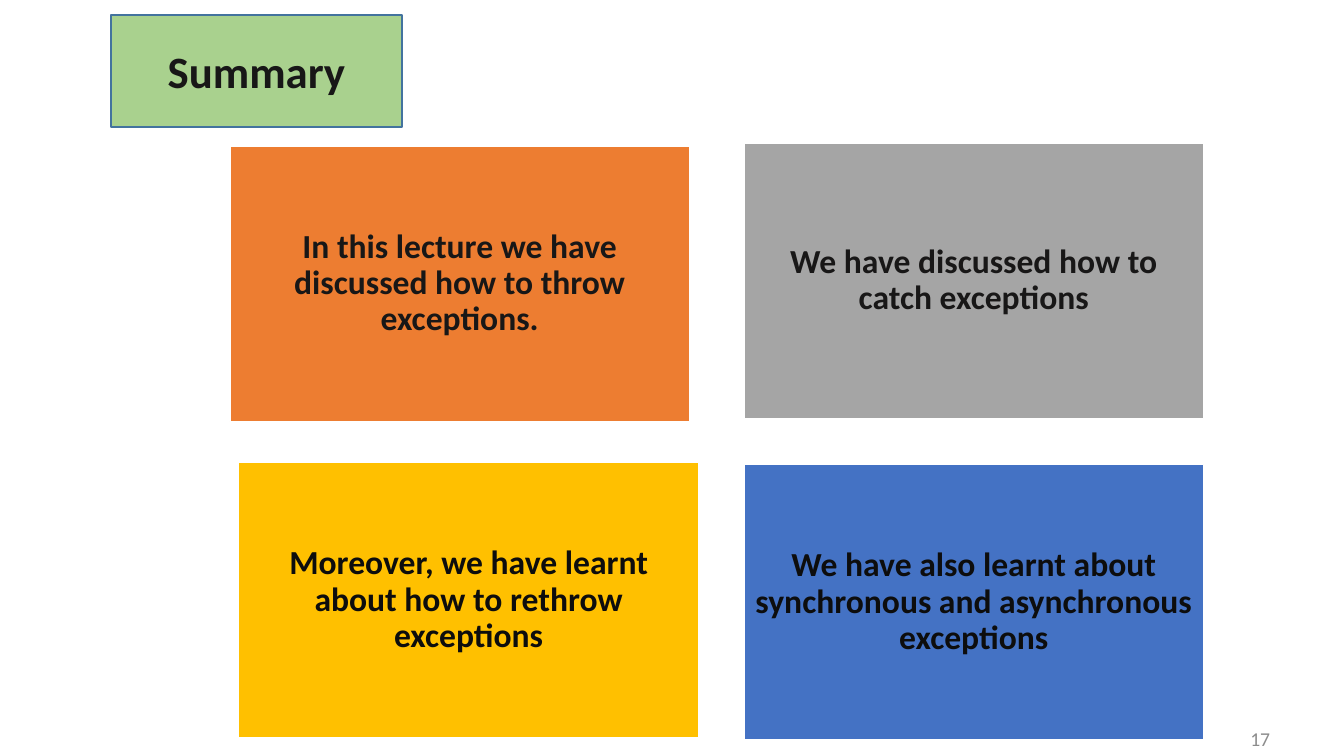
from lxml import etree
from pptx import Presentation
from pptx.dml.color import RGBColor
from pptx.enum.shapes import MSO_SHAPE
from pptx.enum.text import MSO_ANCHOR, MSO_AUTO_SIZE, PP_ALIGN
from pptx.oxml.ns import qn
from pptx.util import Pt

RECTANGLE = MSO_SHAPE.RECTANGLE
MIDDLE = MSO_ANCHOR.MIDDLE
CENTER = PP_ALIGN.CENTER
RIGHT = PP_ALIGN.RIGHT
NO_FIT = MSO_AUTO_SIZE.NONE

COLORS = {
    "green": "A9D18E", "outline": "43739E", "white": "FFFFFF",
    "orange": "ED7D31", "gray": "A5A5A5", "gold": "FFC000", "blue": "4472C4",
    "dark": "181717", "black": "0D0D0D", "number": "8C8C8C",
}


def write_text(box, text, size=24, color="dark", bold=True, align=CENTER,
               inset=7.2, spacing=0.9):
    frame = box.text_frame
    frame.word_wrap = True
    frame.auto_size = NO_FIT
    frame.vertical_anchor = MIDDLE
    frame.margin_left = frame.margin_right = Pt(7.2)
    frame.margin_top = frame.margin_bottom = Pt(inset)
    para = frame.paragraphs[0]
    para.alignment = align
    para.line_spacing = spacing
    span = para.add_run()
    span.text = text
    span.font.name = "Calibri"
    span.font.size = Pt(size)
    span.font.bold = bold
    span.font.color.rgb = RGBColor.from_string(COLORS[color])


def paint(box, fill, line):
    box.fill.solid()
    box.fill.fore_color.rgb = RGBColor.from_string(COLORS[fill])
    box.line.color.rgb = RGBColor.from_string(COLORS[line])
    box.line.width = Pt(1)


deck = Presentation()
deck.slide_width, deck.slide_height = Pt(960), Pt(540)
page = deck.slides.add_slide(deck.slide_layouts[5])

number = page.shapes.add_textbox(Pt(753.1), Pt(525.6), Pt(161.3), Pt(3.6))
write_text(number, "17", size=14, color="number", bold=False, align=RIGHT,
           inset=3.6, spacing=1)

title = page.shapes.title
title.left, title.top = Pt(79.2), Pt(10.8)
title.width, title.height = Pt(208.1), Pt(79.9)
outline = etree.SubElement(title.element.spPr, qn("a:prstGeom"),
                           prst="flowChartMagneticTape")
etree.SubElement(outline, qn("a:avLst"))
paint(title, "green", "outline")
write_text(title, "Summary", size=32, inset=3.6, spacing=1)

cards = [
    (164.2, 104.4, "orange", "dark",
     "In this lecture we have discussed how to throw exceptions."),
    (531.4, 102.2, "gray", "dark",
     "We have discussed how to catch exceptions"),
    (170.6, 330.5, "gold", "black",
     "Moreover, we have learnt about how to rethrow exceptions"),
    (531.4, 331.9, "blue", "black",
     "We have also learnt about synchronous and asynchronous exceptions"),
]
for left, top, fill, ink, text in cards:
    card = page.shapes.add_shape(RECTANGLE, Pt(left), Pt(top), Pt(328.3), Pt(196.6))
    card.shadow.inherit = False
    paint(card, fill, "white")
    write_text(card, text, color=ink)

deck.save("out.pptx")
